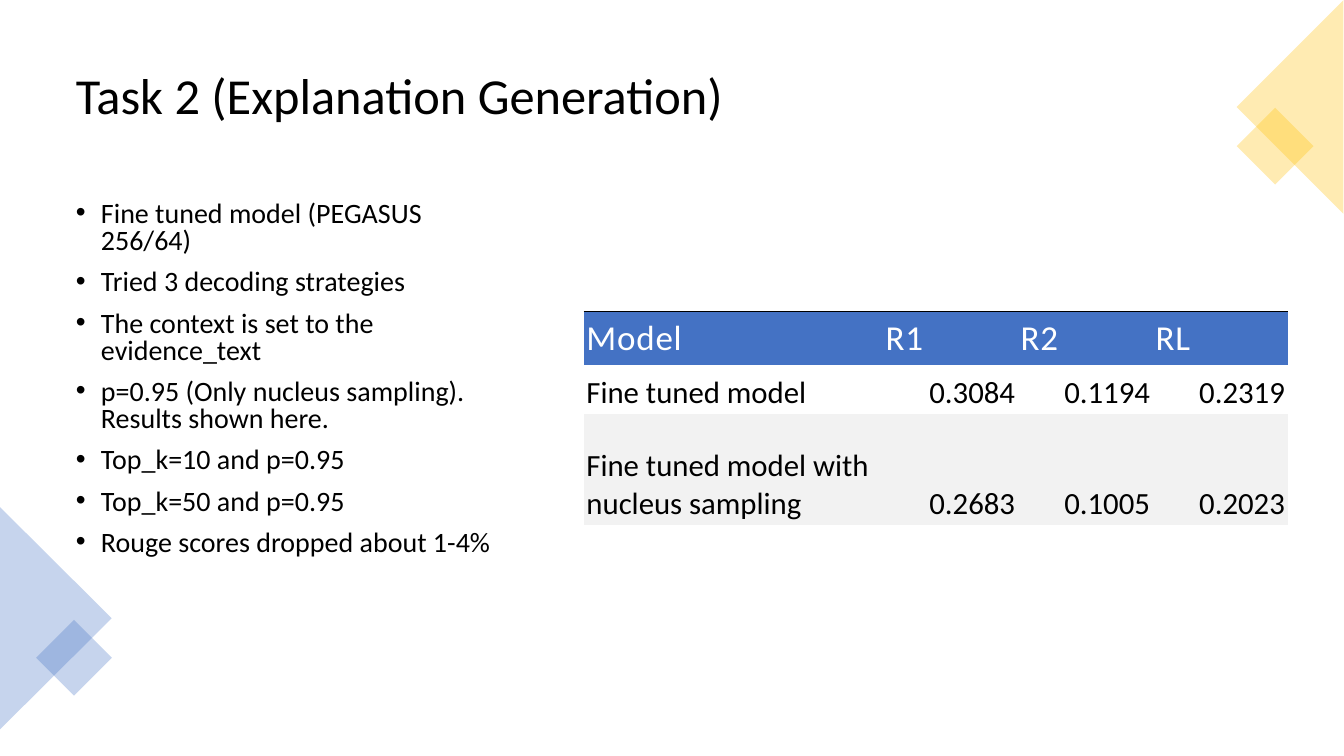
from lxml.etree import SubElement
from pptx import Presentation
from pptx.dml.color import RGBColor
from pptx.enum.shapes import MSO_SHAPE as Preset
from pptx.enum.text import MSO_ANCHOR as Anchor, MSO_AUTO_SIZE as AutoSize, PP_ALIGN as Align
from pptx.oxml import parse_xml
from pptx.oxml.ns import nsdecls, qn
from pptx.util import Cm, Pt

FONT = "Calibri"
BLACK, WHITE, BLUE, GOLD, GREY = "000000", "FFFFFF", "4472C4", "FFC000", "F2F2F2"
NO_STYLE = "{2D5ABB26-0587-4C30-8999-92F81FD0307C}"

FINDINGS = [
    "Fine tuned model (PEGASUS 256/64)",
    "Tried 3 decoding strategies",
    "The context is set to the evidence_text",
    "p=0.95 (Only nucleus sampling). Results shown here.",
    "Top_k=10 and p=0.95",
    "Top_k=50 and p=0.95",
    "Rouge scores dropped about 1-4%",
]
SCORES = [
    ("Model", "R1", "R2", "RL"),
    ("Fine tuned model", "0.3084", "0.1194", "0.2319"),
    ("Fine tuned model with nucleus sampling", "0.2683", "0.1005", "0.2023"),
]


def color(hex_code):
    return RGBColor.from_string(hex_code)


def write(paragraph, text, size, hex_code=BLACK, align=Align.LEFT,
          line=1.0, before=0, bullet=False, tracking=0):
    if bullet:
        props = paragraph._p.get_or_add_pPr()
        props.set("marL", str(Cm(0.635)))
        props.set("indent", str(-Cm(0.635)))
        SubElement(props, qn("a:buFont")).set("typeface", "Arial")
        SubElement(props, qn("a:buChar")).set("char", "•")
    paragraph.alignment = align
    paragraph.line_spacing = line
    paragraph.space_before = Pt(before)
    run = paragraph.add_run()
    run.text = text
    run.font.name = FONT
    run.font.size = Pt(size)
    run.font.color.rgb = color(hex_code)
    if tracking:
        run._r.get_or_add_rPr().set("spc", str(tracking))


def set_frame(frame, anchor):
    frame.word_wrap = True
    frame.auto_size = AutoSize.NONE
    frame.vertical_anchor = anchor
    frame.margin_left = frame.margin_right = Cm(0.13)
    frame.margin_top = frame.margin_bottom = Cm(0.13)


def add_title(slide, text):
    title = slide.shapes.title
    title.left, title.top, title.width, title.height = Cm(1.78), Cm(0.89), Cm(30.3), Cm(3.15)
    set_frame(title.text_frame, Anchor.MIDDLE)
    write(title.text_frame.paragraphs[0], text, 36, line=0.9)


def add_bullets(slide, items):
    box = slide.shapes.add_textbox(Cm(1.78), Cm(4.95), Cm(11.13), Cm(12.22))
    frame = box.text_frame
    set_frame(frame, Anchor.TOP)
    for index, item in enumerate(items):
        paragraph = frame.add_paragraph() if index else frame.paragraphs[0]
        write(paragraph, item, 20, line=0.81, before=10 if index else 0, bullet=True)


def add_corner(slide, hex_code, pieces):
    group = slide.shapes.add_group_shape()
    for preset, left, top, width, height, angle in pieces:
        piece = group.shapes.add_shape(preset, Cm(left), Cm(top), Cm(width), Cm(height))
        piece.rotation = angle
        piece.shadow.inherit = False
        piece.line.fill.background()
        piece.fill.solid()
        piece.fill.fore_color.rgb = color(hex_code)
        tint = piece._element.spPr.find(qn("a:solidFill"))[0]
        SubElement(tint, qn("a:alpha")).set("val", "30000")


def add_top_border(cell):
    cell._tc.get_or_add_tcPr().insert(0, parse_xml(
        f'<a:lnT {nsdecls("a")} w="9525"><a:solidFill>'
        f'<a:srgbClr val="{BLACK}"/></a:solidFill></a:lnT>'))


def add_scores(slide, rows):
    widths, heights = (7.54, 3.4, 3.4, 3.4), (1.35, 1.24, 2.79)
    table = slide.shapes.add_table(len(rows), len(widths), Cm(14.71), Cm(7.85),
                                   Cm(sum(widths)), Cm(sum(heights))).table
    table._tbl.tblPr.find(qn("a:tableStyleId")).text = NO_STYLE
    table.horz_banding = False
    for column, width in zip(table.columns, widths):
        column.width = Cm(width)
    for row, height in zip(table.rows, heights):
        row.height = Cm(height)
    for r, (values, fill) in enumerate(zip(rows, (BLUE, None, GREY))):
        for c, value in enumerate(values):
            cell = table.cell(r, c)
            cell.margin_left = cell.margin_right = Cm(0.07)
            cell.margin_top = cell.margin_bottom = Cm(0.07)
            cell.vertical_anchor = Anchor.BOTTOM if r else Anchor.MIDDLE
            if fill:
                cell.fill.solid()
                cell.fill.fore_color.rgb = color(fill)
            else:
                cell.fill.background()
            paragraph = cell.text_frame.paragraphs[0]
            if r:
                write(paragraph, value, 22, align=Align.RIGHT if c else Align.LEFT)
            else:
                write(paragraph, value, 25, WHITE, tracking=60)
                add_top_border(cell)


def main():
    deck = Presentation()
    deck.slide_width, deck.slide_height = Cm(33.87), Cm(19.05)
    slide = deck.slides.add_slide(deck.slide_layouts[5])
    add_title(slide, "Task 2 (Explanation Generation)")
    add_bullets(slide, FINDINGS)
    add_corner(slide, BLUE, [
        (Preset.ISOSCELES_TRIANGLE, -1.4, 14.17, 5.61, 2.82, 90),
        (Preset.RECTANGLE, 1.19, 15.9, 1.35, 1.35, 45),
    ])
    add_corner(slide, GOLD, [
        (Preset.RECTANGLE, 31.45, 3, 1.37, 1.37, 45),
        (Preset.ISOSCELES_TRIANGLE, 29.82, 1.35, 5.38, 2.69, 270),
    ])
    add_scores(slide, SCORES)
    deck.save("out.pptx")


if __name__ == "__main__":
    main()
